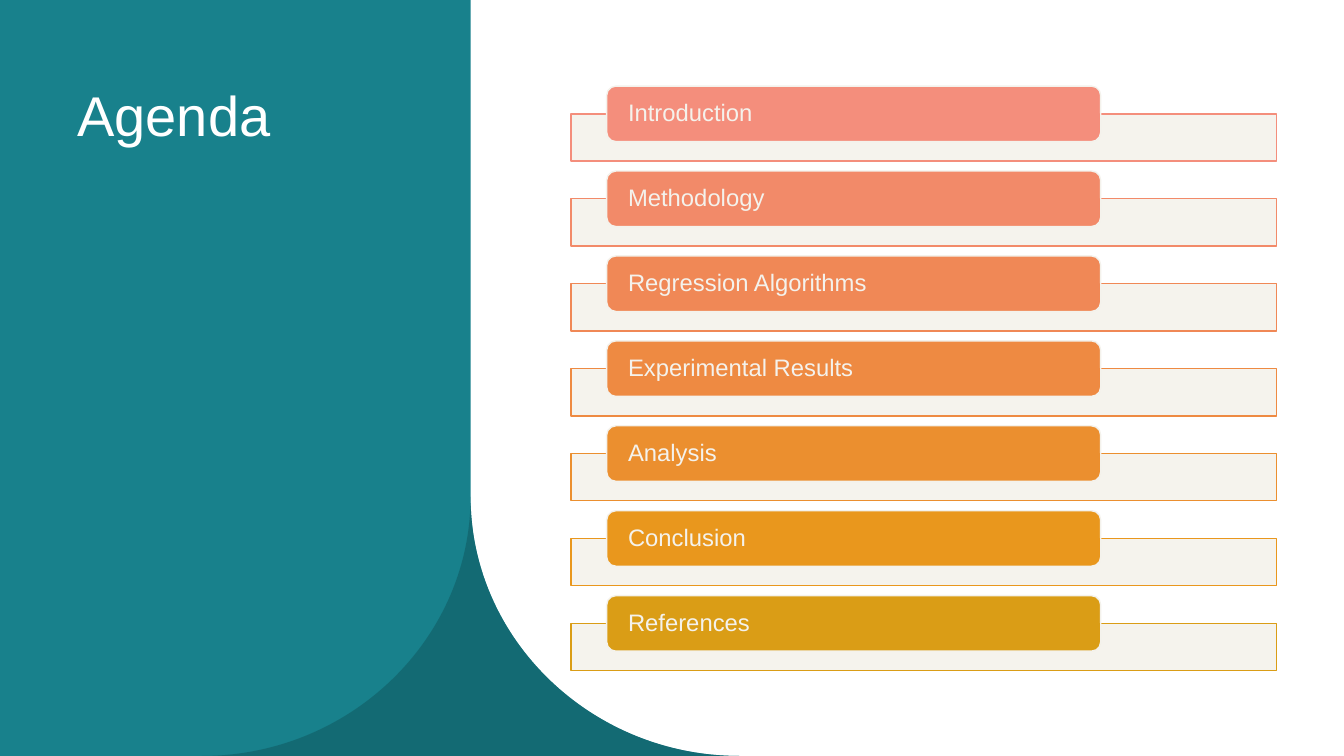
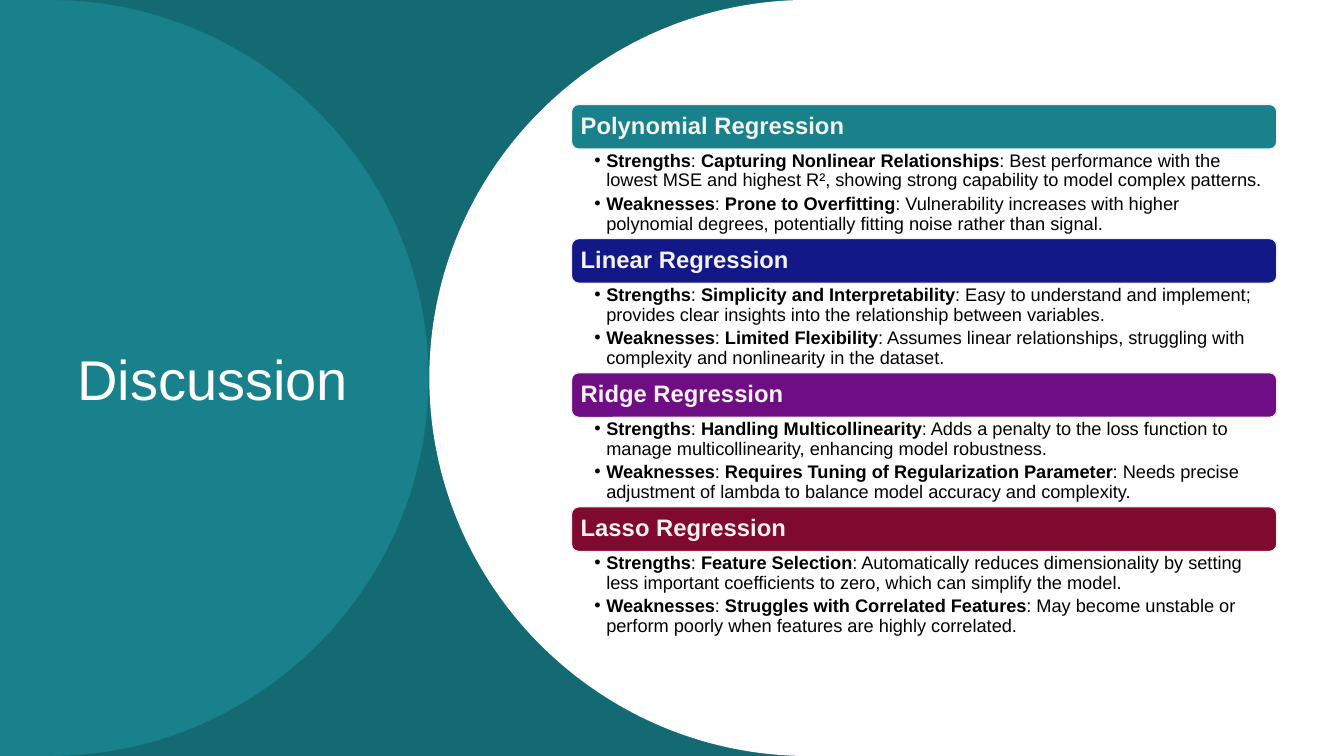
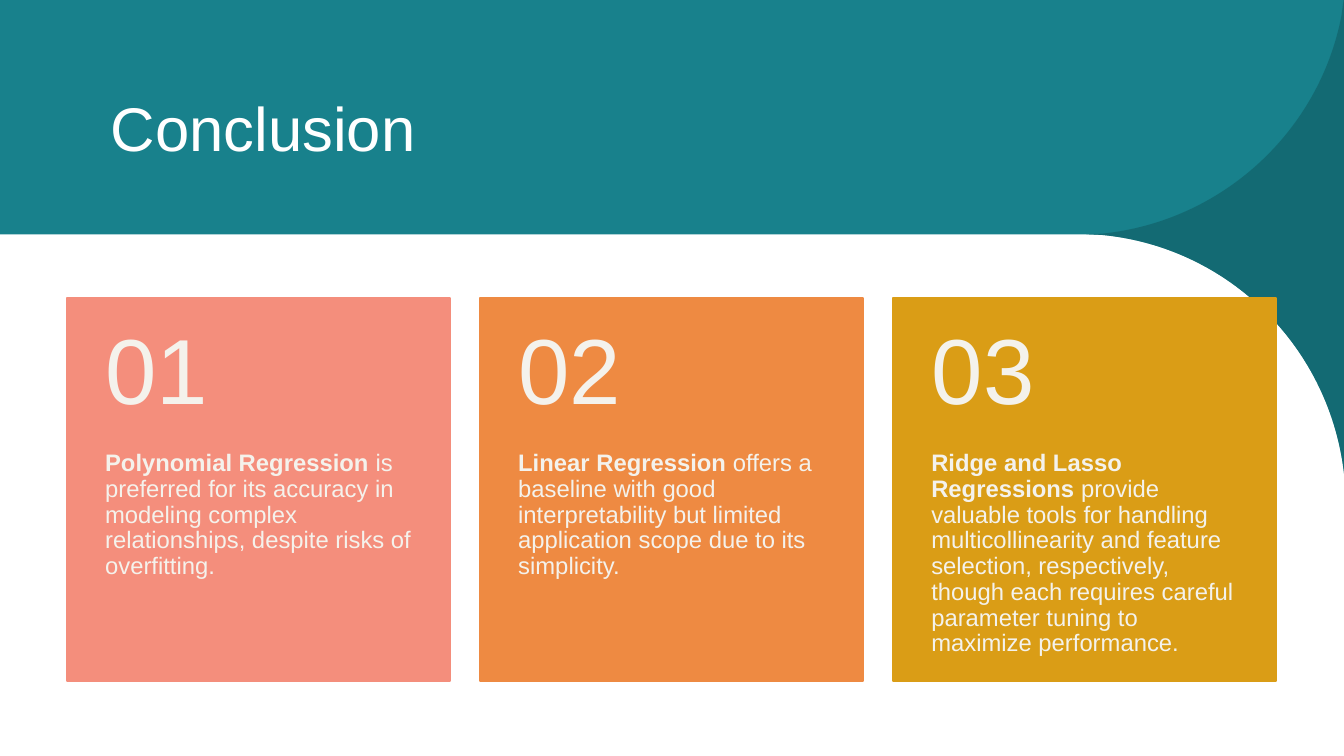
"""Build the agenda, discussion and conclusion slides of a regression study."""
from dataclasses import dataclass

from lxml.etree import SubElement
from pptx import Presentation
from pptx.dml.color import RGBColor
from pptx.enum.shapes import MSO_SHAPE as Preset
from pptx.enum.text import MSO_ANCHOR as Anchor, PP_ALIGN as Align
from pptx.oxml.ns import qn
from pptx.util import Cm, Pt

AGENDA = ["Introduction", "Methodology", "Regression Algorithms", "Experimental Results",
          "Analysis", "Conclusion", "References"]

DISCUSSION = [
    ("Polynomial Regression",
     ("Capturing Nonlinear Relationships", "Best performance with the lowest MSE and highest R², "
      "showing strong capability to model complex patterns."),
     ("Prone to Overfitting", "Vulnerability increases with higher polynomial degrees, "
      "potentially fitting noise rather than signal.")),
    ("Linear Regression",
     ("Simplicity and Interpretability", "Easy to understand and implement; provides clear "
      "insights into the relationship between variables."),
     ("Limited Flexibility", "Assumes linear relationships, struggling with complexity and "
      "nonlinearity in the dataset.")),
    ("Ridge Regression",
     ("Handling Multicollinearity", "Adds a penalty to the loss function to manage "
      "multicollinearity, enhancing model robustness."),
     ("Requires Tuning of Regularization Parameter", "Needs precise adjustment of lambda to "
      "balance model accuracy and complexity.")),
    ("Lasso Regression",
     ("Feature Selection", "Automatically reduces dimensionality by setting less important "
      "coefficients to zero, which can simplify the model."),
     ("Struggles with Correlated Features", "May become unstable or perform poorly when "
      "features are highly correlated.")),
]

CONCLUSION = [
    ("Polynomial Regression", " is preferred for its accuracy in modeling complex "
     "relationships, despite risks of overfitting."),
    ("Linear Regression", " offers a baseline with good interpretability but limited "
     "application scope due to its simplicity."),
    ("Ridge and Lasso Regressions", " provide valuable tools for handling multicollinearity "
     "and feature selection, respectively, though each requires careful parameter tuning to "
     "maximize performance."),
]


@dataclass(frozen=True)
class Theme:
    font: str = "Arial"
    white: str = "FFFFFF"
    black: str = "000000"
    cream: str = "F4F2EC"
    teal: str = "18818C"
    shade: str = "126169"
    warm: tuple = ("F48E7C", "F28A69", "F08856", "EE8A42", "EB8F2F", "E9971D", "DA9D16")
    deep: tuple = ("18818C", "131888", "6F0E84", "800A2F")
    title: int = 40
    wide_title: int = 44
    number: int = 66
    label: int = 17
    detail: int = 13


THEME = Theme()
WIDTH, HEIGHT = 33.87, 19.05
LEFT, SPAN = 14.39, 17.78


def paint(shape, fill, line=None, opacity=100):
    shape.shadow.inherit = False
    shape.fill.solid()
    shape.fill.fore_color.rgb = RGBColor.from_string(fill)
    if opacity < 100:
        colour = shape._element.spPr.find(qn("a:solidFill"))[0]
        SubElement(colour, qn("a:alpha"), val=str(opacity * 1000))
    if line:
        shape.line.color.rgb = RGBColor.from_string(line)
        shape.line.width = Pt(1)
    else:
        shape.line.fill.background()
    return shape


def block(slide, box, fill, line=None, opacity=100, preset=Preset.RECTANGLE):
    return paint(slide.shapes.add_shape(preset, *map(Cm, box)), fill, line, opacity)


def quarter(start, corner, end):
    """Return the control points and end of a quarter ellipse."""
    bend = 0.55
    pulled = [tuple(p + bend * (c - p) for p, c in zip(point, corner)) for point in (start, end)]
    return (*pulled, end)


def outline(slide, start, segments, fill, opacity=100):
    """Draw an outline whose segments hold one point for a line or three for a curve."""
    builder = slide.shapes.build_freeform(*map(Cm, start))
    builder.add_line_segments([(Cm(x), Cm(y)) for part in segments for x, y in part], close=True)
    shape = builder.convert_to_shape()
    steps = iter(list(shape._element.iter(qn("a:lnTo"))))
    for part in segments:
        first, *others = [next(steps) for _ in part]
        if others:
            first.tag = qn("a:cubicBezTo")
            for other in others:
                first.append(other[0])
                other.getparent().remove(other)
    return paint(shape, fill, opacity=opacity)


def write(shape, *paragraphs, size=THEME.label, colour=THEME.cream, anchor=Anchor.MIDDLE,
          insets=(0.25, 0.13, 0.25, 0.13), spacing=0.9, after=0, bullet=False):
    """Fill a shape with paragraphs, each a list of (text, bold) runs."""
    frame = shape.text_frame
    frame.word_wrap = True
    frame.vertical_anchor = anchor
    frame.margin_left, frame.margin_top, frame.margin_right, frame.margin_bottom = map(Cm, insets)
    for i, runs in enumerate(paragraphs):
        paragraph = frame.add_paragraph() if i else frame.paragraphs[0]
        paragraph.alignment = Align.LEFT
        paragraph.line_spacing = spacing
        paragraph.space_after = Pt(after)
        if bullet:
            properties = paragraph._p.get_or_add_pPr()
            properties.set("marL", str(Cm(0.3)))
            properties.set("indent", str(-Cm(0.3)))
            SubElement(properties, qn("a:buFont"), typeface=THEME.font)
            SubElement(properties, qn("a:buChar"), char="•")
        for text, bold in runs:
            run = paragraph.add_run()
            run.text = text
            run.font.name = THEME.font
            run.font.size = Pt(size)
            run.font.bold = bold
            run.font.color.rgb = RGBColor.from_string(colour)


def write_box(slide, box, *paragraphs, **style):
    write(slide.shapes.add_textbox(*map(Cm, box)), *paragraphs, **style)


def title(slide, text, box, size=THEME.title, anchor=Anchor.MIDDLE):
    write_box(slide, box, [(text, False)], size=size, colour=THEME.white, anchor=anchor,
              spacing=1.0)


def shaded(slide, start, segments):
    outline(slide, start, segments, THEME.teal)
    outline(slide, start, segments, THEME.shade, 70)


def agenda(slide):
    edge, reach, curve_top = 11.86, 6.77, 12.52
    start, tip, end = (edge - reach, HEIGHT), (edge, curve_top), (edge + reach, HEIGHT)
    foot = (edge, HEIGHT)
    block(slide, (0, 0, edge, HEIGHT), THEME.teal)
    shaded(slide, start, [quarter(start, foot, tip), quarter(tip, foot, end)])
    title(slide, "Agenda", (1.7, 1.91, 9.07, 10.67), anchor=Anchor.TOP)
    for i, (topic, colour) in enumerate(zip(AGENDA, THEME.warm)):
        top = 2.17 + 2.14 * i
        block(slide, (LEFT, top + 0.7, SPAN, 1.19), THEME.cream, colour, 90)
        tab = block(slide, (15.29, top, 12.45, 1.4), colour, THEME.cream,
                    preset=Preset.ROUNDED_RECTANGLE)
        write(tab, [(topic, False)], insets=(0.47, 0, 0.47, 0))


def bay(slide, side, mouth, apex, fill, opacity=100):
    """Draw a panel from one side to a half round edge."""
    top, middle, bottom = (mouth, 0), (apex, HEIGHT / 2), (mouth, HEIGHT)
    outline(slide, (side, 0), [(top,), quarter(top, (apex, 0), middle),
                               quarter(middle, (apex, HEIGHT), bottom), ((side, HEIGHT),)],
            fill, opacity)


def discussion(slide):
    bay(slide, 0, 20.42, 10.9, THEME.teal)
    bay(slide, 21.69, 1.27, 10.8, THEME.shade, 70)
    title(slide, "Discussion", (1.7, 1.91, 8.28, 15.24))
    bay(slide, 27.38, 20.36, 10.82, THEME.white)
    for i, ((method, strength, weakness), colour) in enumerate(zip(DISCUSSION, THEME.deep)):
        top = 2.63 + 3.38 * i
        heading = block(slide, (LEFT + 0.01, top, SPAN, 1.13), colour, THEME.cream,
                        preset=Preset.ROUNDED_RECTANGLE)
        write(heading, [(method, True)], insets=(0.18,) * 4)
        points = [[(kind, True), (": ", False), (name, True), (": " + reason, False)]
                  for kind, (name, reason) in (("Strengths", strength), ("Weaknesses", weakness))]
        write_box(slide, (LEFT + 0.01, top + 1.13, SPAN, 2.25), *points, size=THEME.detail,
                  colour=THEME.black, anchor=Anchor.TOP, insets=(0.58, 0.06, 0.32, 0.05),
                  after=2.6, bullet=True)


def conclusion(slide):
    block(slide, (0, 0, WIDTH, 5.91), THEME.teal)
    title(slide, "Conclusion", (2.54, 1.65, 27.53, 3.07), size=THEME.wide_title)
    shaded(slide, (33.86, 0), [
        ((33.81, 0.38),), ((33.25, 3.33), (30.78, 5.59), (27.76, 5.89)),
        ((27.38, 5.9),), ((27.76, 5.92),), ((30.99, 6.22), (33.55, 8.79), (33.88, 12.01)),
        ((33.9, 12.19),), ((33.9, 0),)])
    side, gap, top, number_height = 9.65, 0.76, 7.51, 3.86
    for i, ((method, verdict), colour) in enumerate(zip(CONCLUSION, THEME.warm[::3])):
        left = 1.69 + (side + gap) * i
        block(slide, (left, top, side, side), colour, colour)
        write_box(slide, (left, top + number_height, side, side - number_height),
                  [(method, True), (verdict, False)], anchor=Anchor.TOP,
                  insets=(0.96, 0, 0.94, 0.91))
        write_box(slide, (left, top, side, number_height), [(f"{i + 1:02}", False)],
                  size=THEME.number, insets=(0.97, 0.46, 0.97, 0.46))


def main():
    deck = Presentation()
    deck.slide_width, deck.slide_height = Cm(WIDTH), Cm(HEIGHT)
    for build in (agenda, discussion, conclusion):
        slide = deck.slides.add_slide(deck.slide_layouts[6])
        block(slide, (0, 0, WIDTH, HEIGHT), THEME.white)
        build(slide)
    deck.save("out.pptx")


if __name__ == "__main__":
    main()
